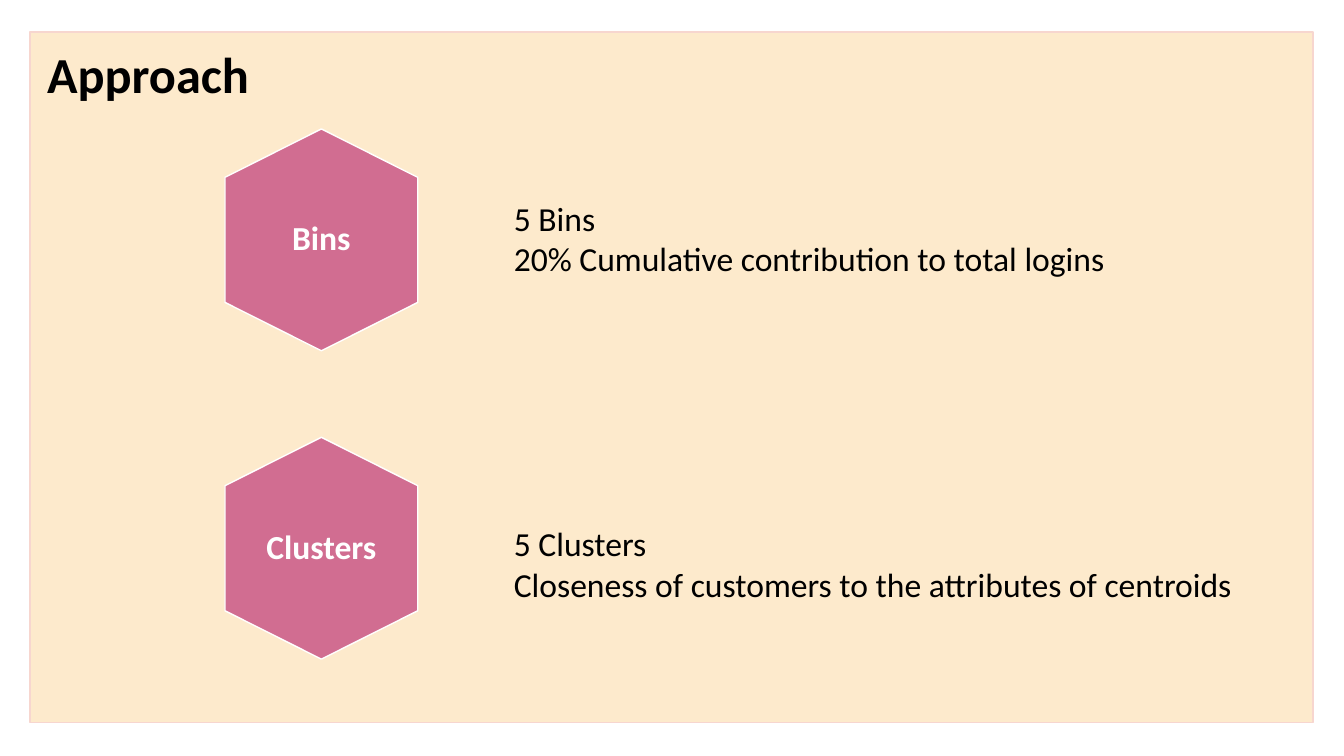
from pptx import Presentation
from pptx import util as u
from pptx.dml.color import RGBColor
from pptx.enum import shapes, text

CREAM = RGBColor(0xFD, 0xEA, 0xCC)
BLUSH = RGBColor(0xF7, 0xD6, 0xCF)
ROSE = RGBColor(0xD1, 0x6D, 0x91)
WHITE = RGBColor(0xFF, 0xFF, 0xFF)
BLACK = RGBColor(0, 0, 0)


def paint(sp, fill, line):
    sp.shadow.inherit = False
    sp.fill.solid()
    sp.fill.fore_color.rgb = fill
    sp.line.color.rgb = line
    sp.line.width = u.Pt(1)


def write(sp, content, size, color, bold=False):
    tf = sp.text_frame
    tf.word_wrap = True
    tf.text = content
    for p in tf.paragraphs:
        for r in p.runs:
            r.font.name = "Calibri"
            r.font.size = u.Pt(size)
            r.font.bold = bold
            r.font.color.rgb = color
    return tf


prs = Presentation()
prs.slide_width = u.Cm(33.87)
prs.slide_height = u.Cm(19.05)
s = prs.slides.add_slide(prs.slide_layouts[6])

panel = s.shapes.add_shape(shapes.MSO_SHAPE.RECTANGLE,
                           u.Cm(0.76), u.Cm(0.81), u.Cm(32.33), u.Cm(17.4))
paint(panel, CREAM, BLUSH)

title = s.shapes.add_textbox(u.Cm(0.94), u.Cm(0.97), u.Cm(22), u.Cm(1.8))
write(title, "Approach", 36, BLACK, bold=True)

LEFT, TOP, WIDTH, HEIGHT = 5.67, 3.25, 4.86, 5.59
SHOULDER, STEP = 1.22, 7.77
methods = [
    ("Bins", "5 Bins\n20% Cumulative contribution to total logins", 4.85, 16.05),
    ("Clusters", "5 Clusters\nCloseness of customers to the attributes of centroids", 13.06, 19.2),
]

for i, (name, details, details_top, details_width) in enumerate(methods):
    top = TOP + i * STEP
    mid, right, bottom = LEFT + WIDTH / 2, LEFT + WIDTH, top + HEIGHT
    corners = [(mid, top), (right, top + SHOULDER), (right, bottom - SHOULDER),
               (mid, bottom), (LEFT, bottom - SHOULDER), (LEFT, top + SHOULDER)]
    points = [(u.Cm(x), u.Cm(y)) for x, y in corners]
    fb = s.shapes.build_freeform(*points[0])
    fb.add_line_segments(points[1:], close=True)
    hexagon = fb.convert_to_shape()
    paint(hexagon, ROSE, WHITE)
    tf = write(hexagon, name, 24, WHITE, bold=True)
    tf.vertical_anchor = text.MSO_ANCHOR.MIDDLE
    tf.paragraphs[0].alignment = text.PP_ALIGN.CENTER
    tf.paragraphs[0].line_spacing = 0.9

    box = s.shapes.add_textbox(u.Cm(12.7), u.Cm(details_top),
                               u.Cm(details_width), u.Cm(2.31))
    write(box, details, 24, BLACK)

prs.save("out.pptx")
